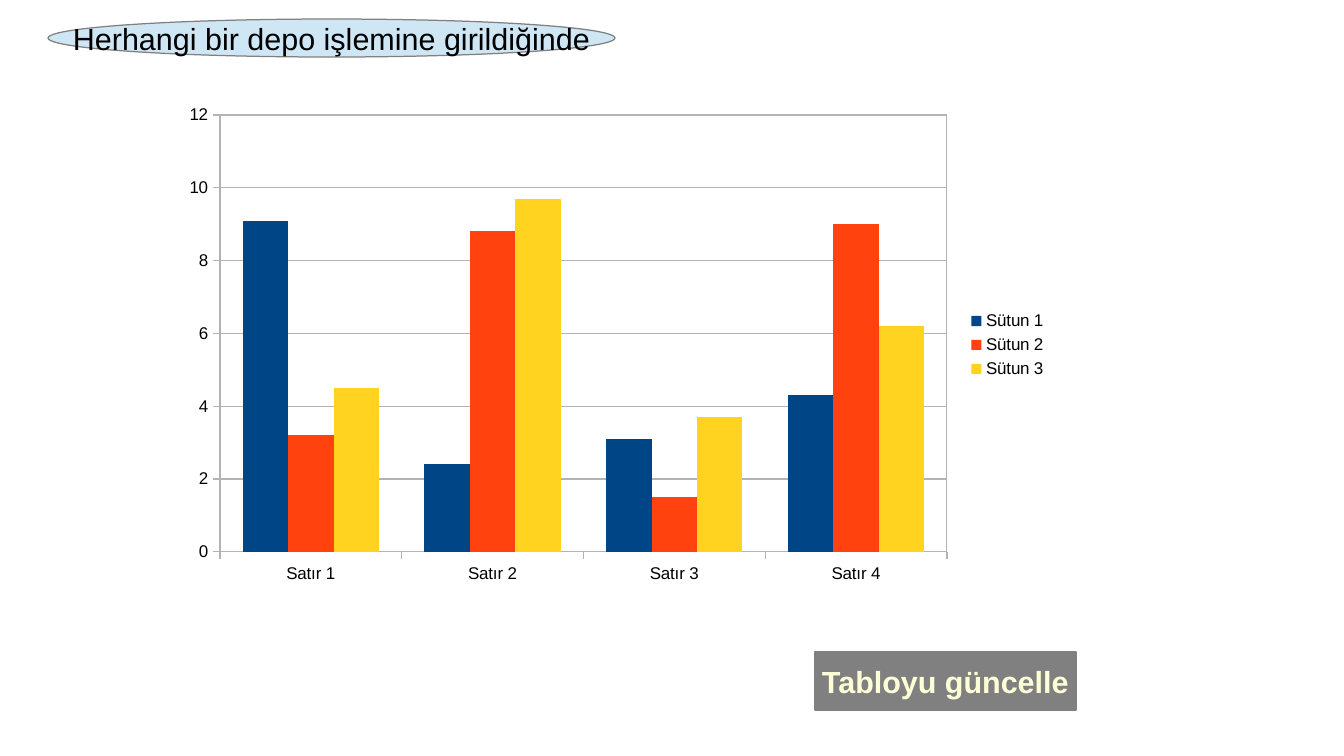
from lxml import etree
from pptx import Presentation
from pptx.chart.data import CategoryChartData
from pptx.dml.color import RGBColor
from pptx.enum.chart import XL_CHART_TYPE, XL_LEGEND_POSITION, XL_TICK_MARK
from pptx.enum.shapes import MSO_SHAPE
from pptx.enum.text import MSO_ANCHOR, PP_ALIGN
from pptx.oxml import parse_xml
from pptx.oxml.ns import nsdecls, qn
from pptx.util import Pt

COLUMNS = XL_CHART_TYPE.COLUMN_CLUSTERED
RIGHT = XL_LEGEND_POSITION.RIGHT
OUTSIDE = XL_TICK_MARK.OUTSIDE
RECT, OVAL = MSO_SHAPE.RECTANGLE, MSO_SHAPE.OVAL
MIDDLE, CENTER = MSO_ANCHOR.MIDDLE, PP_ALIGN.CENTER

BLACK = RGBColor(0x00, 0x00, 0x00)
WHITE = RGBColor(0xFF, 0xFF, 0xFF)
GRAY = RGBColor(0x80, 0x80, 0x80)
SILVER = RGBColor(0xB3, 0xB3, 0xB3)
CREAM = RGBColor(0xFF, 0xFF, 0xD7)
SKY = RGBColor(0xCF, 0xE7, 0xF5)
NAVY = RGBColor(0x00, 0x45, 0x86)
ORANGE = RGBColor(0xFF, 0x42, 0x0E)
YELLOW = RGBColor(0xFF, 0xD3, 0x20)

SCALE = 914400 / 122
ROWS = ["Satır 1", "Satır 2", "Satır 3", "Satır 4"]
SERIES = [
    ("Sütun 1", NAVY, (9.1, 2.4, 3.1, 4.3)),
    ("Sütun 2", ORANGE, (3.2, 8.8, 1.5, 9)),
    ("Sütun 3", YELLOW, (4.5, 9.7, 3.7, 6.2)),
]


def emu(*px):
    return [round(n * SCALE) for n in px]


def assign(target, values):
    for name, value in values.items():
        setattr(target, name, value)


class Board:
    """Holds the text style and the current slide."""

    face = "Arial"

    def __init__(self, deck):
        self.slide = deck.slides.add_slide(deck.slide_layouts[6])
        fill = self.slide.background.fill
        fill.solid()
        fill.fore_color.rgb = WHITE

    def style(self, font, size, color, bold=False):
        assign(font, {"name": self.face, "size": Pt(size), "bold": bold})
        font.color.rgb = color

    def hairline(self, line, color):
        line.color.rgb = color
        line.width = 0

    def label(self, kind, box, text, fill, color, bold=False):
        shape = self.slide.shapes.add_shape(kind, *emu(*box))
        shape.shadow.inherit = False
        shape.fill.solid()
        shape.fill.fore_color.rgb = fill
        self.hairline(shape.line, GRAY)
        frame = shape.text_frame
        assign(frame, {"word_wrap": False, "vertical_anchor": MIDDLE})
        para = frame.paragraphs[0]
        para.alignment = CENTER
        run = para.add_run()
        run.text = text
        self.style(run.font, 18, color, bold)

    def chart(self, box, plot_box):
        data = CategoryChartData()
        data.categories = ROWS
        for name, _, values in SERIES:
            data.add_series(name, values)
        chart = self.slide.shapes.add_chart(COLUMNS, *emu(*box), data).chart
        assign(chart, {"has_title": False, "has_legend": True})
        self.style(chart.font, 10, BLACK)
        assign(chart.legend, {"position": RIGHT, "include_in_layout": False})
        self.style(chart.legend.font, 10, BLACK)
        plot = chart.plots[0]
        assign(plot, {"gap_width": 100, "overlap": 0, "vary_by_categories": False})
        for series, (_, color, _) in zip(plot.series, SERIES):
            series.format.fill.solid()
            series.format.fill.fore_color.rgb = color
        for axis in (chart.category_axis, chart.value_axis):
            axis.major_tick_mark = OUTSIDE
            self.hairline(axis.format.line, SILVER)
            self.style(axis.tick_labels.font, 10, BLACK)
        scale = chart.value_axis
        assign(scale, {"minimum_scale": 0, "maximum_scale": 12, "major_unit": 2})
        self.hairline(scale.major_gridlines.format.line, SILVER)
        self.frame(chart, box, plot_box)

    def frame(self, chart, box, plot_box):
        """Place the plot inside the chart and outline it."""
        area = chart.element.find(".//" + qn("c:plotArea"))
        for old in area.findall(qn("c:layout")):
            area.remove(old)
        layout = etree.Element(qn("c:layout"))
        manual = etree.SubElement(layout, qn("c:manualLayout"))
        left, top, width, height = box
        x, y, w, h = plot_box
        parts = {
            "layoutTarget": "inner", "xMode": "edge", "yMode": "edge",
            "x": (x - left) / width, "y": (y - top) / height,
            "w": w / width, "h": h / height,
        }
        for tag, value in parts.items():
            etree.SubElement(manual, qn("c:" + tag), val=str(value))
        area.insert(0, layout)
        area.append(parse_xml(
            f'<c:spPr {nsdecls("c", "a")}><a:noFill/><a:ln w="0"><a:solidFill>'
            f'<a:srgbClr val="{SILVER}"/></a:solidFill></a:ln></c:spPr>'))


def main():
    deck = Presentation()
    deck.slide_width, deck.slide_height = emu(1344, 756)
    board = Board(deck)
    board.chart((173, 96, 886, 498), (220, 115, 727, 437))
    board.label(RECT, (815, 652, 261, 58), "Tabloyu güncelle", GRAY, CREAM, True)
    board.label(OVAL, (48, 19, 567, 38), "Herhangi bir depo işlemine girildiğinde",
                SKY, BLACK)
    deck.save("out.pptx")


if __name__ == "__main__":
    main()
